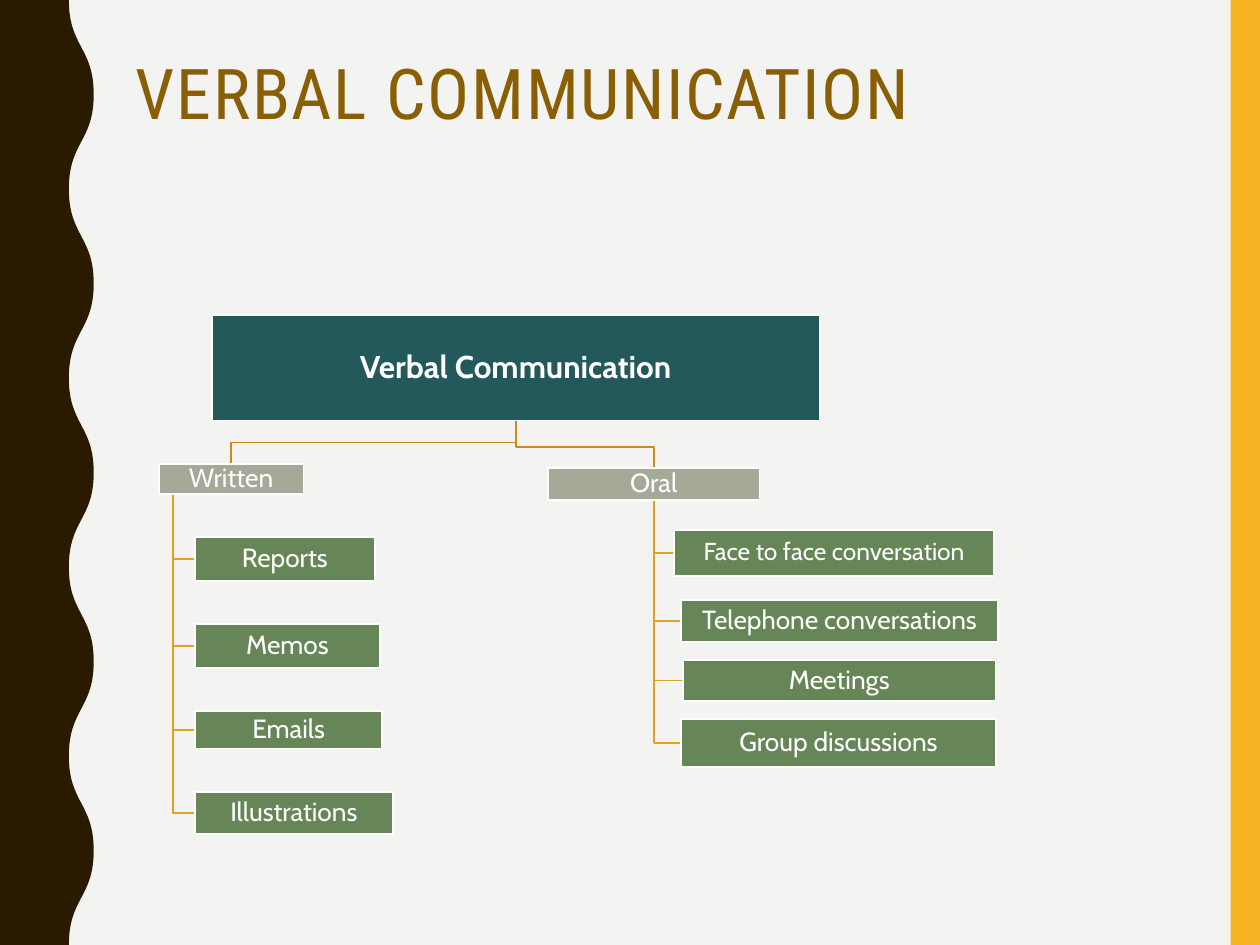
from dataclasses import dataclass

from lxml import etree
from pptx import Presentation
from pptx.dml.color import RGBColor
from pptx.enum.shapes import MSO_SHAPE
from pptx.enum.text import MSO_ANCHOR, MSO_AUTO_SIZE, PP_ALIGN
from pptx.oxml.ns import qn
from pptx.util import Cm, Pt

RECTANGLE = MSO_SHAPE.RECTANGLE
TOP, MIDDLE = MSO_ANCHOR.TOP, MSO_ANCHOR.MIDDLE
LEFT, CENTER = PP_ALIGN.LEFT, PP_ALIGN.CENTER
NO_AUTOFIT = MSO_AUTO_SIZE.NONE

SLIDE_WIDTH, SLIDE_HEIGHT = 25.4, 19.05
BACKGROUND, BROWN, YELLOW, TITLE_COLOR = "F3F3F2", "2A1A00", "F8B323", "895E04"
TEAL, GRAY, GREEN, WHITE = "23595B", "A4A998", "678658", "FFFFFF"
BRANCH_LINE, LEAF_LINE = "C58E1C", "E0A220"
BEND_ABOVE_BRANCH = 0.43


@dataclass
class Box:
    text: str
    left: float
    top: float
    width: float
    height: float
    fill: str = GREEN
    size: float = 15
    bold: bool = False

    @property
    def center(self) -> float:
        return self.left + self.width / 2

    @property
    def middle(self) -> float:
        return self.top + self.height / 2

    @property
    def bottom(self) -> float:
        return self.top + self.height


@dataclass
class Branch:
    box: Box
    trunk: float
    leaves: list[Box]


ROOT = Box("Verbal Communication", 4.27, 6.35, 12.25, 2.13, TEAL, 18, True)
BRANCHES = [
    Branch(Box("Written", 3.2, 9.35, 2.92, 0.61, GRAY), 3.49, [
        Box("Reports", 3.93, 10.82, 3.63, 0.89),
        Box("Memos", 3.93, 12.58, 3.73, 0.89),
        Box("Emails", 3.93, 14.33, 3.78, 0.76),
        Box("Illustrations", 3.93, 15.97, 3.99, 0.84),
    ]),
    Branch(Box("Oral", 11.05, 9.44, 4.26, 0.64, GRAY), 13.18, [
        Box("Face to face conversation", 13.59, 10.69, 6.45, 0.92, size=14),
        Box("Telephone conversations", 13.73, 12.1, 6.39, 0.84),
        Box("Meetings", 13.77, 13.31, 6.3, 0.82),
        Box("Group discussions", 13.73, 14.5, 6.35, 0.97),
    ]),
]


def color(hex_value: str) -> RGBColor:
    return RGBColor.from_string(hex_value)


def apply(target, values: dict) -> None:
    for name, value in values.items():
        setattr(target, name, value)


def paint(shape, fill: str | None, line: str | None = None) -> None:
    shape.shadow.inherit = False
    if fill:
        shape.fill.solid()
        shape.fill.fore_color.rgb = color(fill)
    else:
        shape.fill.background()
    if line:
        shape.line.color.rgb = color(line)
        shape.line.width = Pt(1)
    else:
        shape.line.fill.background()


def write(shape, text: str, inset: float, anchor, alignment, text_color: str, font: dict) -> None:
    frame = shape.text_frame
    margins = {f"margin_{side}": Cm(inset) for side in ("left", "top", "right", "bottom")}
    apply(frame, margins | {"word_wrap": True, "auto_size": NO_AUTOFIT, "vertical_anchor": anchor})
    paragraph = frame.paragraphs[0]
    apply(paragraph, {"alignment": alignment, "line_spacing": 0.9, "space_before": Pt(0)})
    run = paragraph.add_run()
    run.text = text
    apply(run.font, font)
    run.font.color.rgb = color(text_color)


def add_path(slide, points: list[tuple[float, float]], closed: bool = False):
    lengths = [(Cm(x), Cm(y)) for x, y in points]
    builder = slide.shapes.build_freeform(*lengths[0])
    builder.add_line_segments(lengths[1:], close=closed)
    return builder.convert_to_shape()


def add_rectangle(slide, left: float, top: float, width: float, height: float):
    return slide.shapes.add_shape(RECTANGLE, Cm(left), Cm(top), Cm(width), Cm(height))


def add_box(slide, box: Box) -> None:
    shape = add_rectangle(slide, box.left, box.top, box.width, box.height)
    paint(shape, box.fill, WHITE)
    write(shape, box.text, 0.03, MIDDLE, CENTER, WHITE,
          {"name": "Cabin", "size": Pt(box.size), "bold": box.bold})


def add_wave(slide, trough: float = 1.39, crest: float = 1.89, halves: int = 10) -> None:
    half_height = SLIDE_HEIGHT / halves
    edge = [(crest if i % 2 else trough, i * half_height) for i in range(halves + 1)]
    shape = add_path(slide, [(0, 0), *edge, (0, SLIDE_HEIGHT)], closed=True)
    paint(shape, BROWN)

    # Turn each straight edge into an S-curve with both controls at mid-height
    segments = list(shape._element.iter(qn("a:lnTo")))[1:halves + 1]
    for segment, (x1, y1), (x2, y2) in zip(segments, edge, edge[1:]):
        segment.tag = qn("a:cubicBezTo")
        middle = (y1 + y2) / 2
        for index, x in enumerate((x1, x2)):
            control = etree.Element(qn("a:pt"), x=str(Cm(x)), y=str(Cm(middle)))
            segment.insert(index, control)


def add_branch_lines(slide, branch: Branch) -> None:
    for leaf in branch.leaves:
        elbow = [(branch.trunk, branch.box.bottom), (branch.trunk, leaf.middle), (leaf.left, leaf.middle)]
        paint(add_path(slide, elbow), None, LEAF_LINE)
    bend = branch.box.top - BEND_ABOVE_BRANCH
    link = [(ROOT.center, ROOT.bottom), (ROOT.center, bend),
            (branch.box.center, bend), (branch.box.center, branch.box.top)]
    paint(add_path(slide, link), None, BRANCH_LINE)


def main() -> None:
    presentation = Presentation()
    apply(presentation, {"slide_width": Cm(SLIDE_WIDTH), "slide_height": Cm(SLIDE_HEIGHT)})
    slide = presentation.slides.add_slide(presentation.slide_layouts[5])
    slide.background.fill.solid()
    slide.background.fill.fore_color.rgb = color(BACKGROUND)

    # Side decorations
    paint(add_rectangle(slide, 24.81, 0, 0.59, SLIDE_HEIGHT), YELLOW)
    add_wave(slide)

    # Title
    title = slide.shapes.title
    apply(title, {"left": Cm(2.61), "top": Cm(1.07), "width": Cm(21.21), "height": Cm(4.14)})
    write(title, "VERBAL COMMUNICATION", 0.13, TOP, LEFT, TITLE_COLOR,
          {"name": "Roboto Condensed", "size": Pt(40), "bold": False})
    title.text_frame.paragraphs[0].runs[0].font._element.set("spc", "100")

    # Hierarchy: lines behind, boxes in front
    for branch in reversed(BRANCHES):
        add_branch_lines(slide, branch)
    add_box(slide, ROOT)
    for branch in BRANCHES:
        for box in [branch.box, *branch.leaves]:
            add_box(slide, box)

    presentation.save("out.pptx")


if __name__ == "__main__":
    main()
